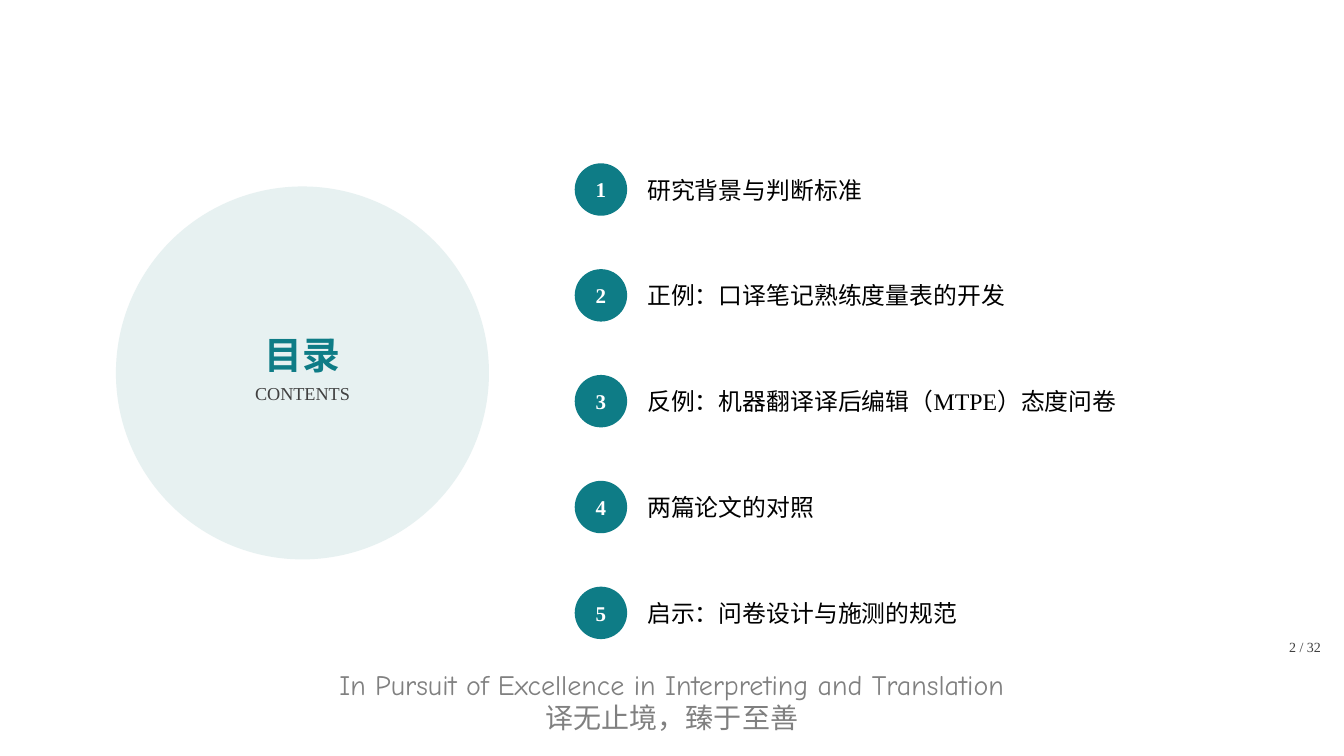
from lxml.etree import SubElement
from pptx import Presentation
from pptx.dml.color import RGBColor
from pptx.enum.shapes import MSO_SHAPE
from pptx.enum.text import MSO_ANCHOR, PP_ALIGN
from pptx.oxml.ns import qn
from pptx.util import Inches, Pt

# Content
CONTENTS = [
    "研究背景与判断标准",
    "正例：口译笔记熟练度量表的开发",
    "反例：机器翻译译后编辑（MTPE）态度问卷",
    "两篇论文的对照",
    "启示：问卷设计与施测的规范",
]
TITLE, SUBTITLE = "目录", "CONTENTS"
MOTTO_ENGLISH = "In Pursuit of Excellence in Interpreting and Translation"
MOTTO_CHINESE = "译无止境，臻于至善"
PAGE_NUMBER = "2 / 32"

# Style
TEAL = RGBColor(0x0E, 0x7C, 0x86)
PALE_TEAL = RGBColor(0xE7, 0xF1, 0xF1)
DARK_GRAY = RGBColor(0x40, 0x40, 0x40)
GRAY = RGBColor(0x80, 0x80, 0x80)
BLACK = RGBColor(0, 0, 0)
WHITE = RGBColor(0xFF, 0xFF, 0xFF)
SERIF, CHINESE, HANDWRITING = "Times New Roman", "Noto Sans CJK SC", "Comic Neue"

# Layout in inches
LIST_TOP, ROW_STEP, BADGE_SIZE = 1.62, 1.05, 0.52
BADGE_LEFT, ITEM_LEFT, ITEM_WIDTH = 5.7, 6.42, 6.3

presentation = Presentation()
presentation.slide_width, presentation.slide_height = Inches(13.33), Inches(7.5)
slide = presentation.slides.add_slide(presentation.slide_layouts[6])


def write(paragraph, text, size, color, bold=False, align=PP_ALIGN.LEFT, name=SERIF):
    paragraph.text = text
    paragraph.alignment = align
    font = paragraph.font
    font.size, font.bold, font.name = Pt(size), bold, name
    font.color.rgb = color
    properties = paragraph._p.pPr.find(qn("a:defRPr"))
    SubElement(properties, qn("a:ea")).set("typeface", CHINESE)


def clear_margins(frame):
    frame.margin_left = frame.margin_top = 0
    frame.margin_right = frame.margin_bottom = 0


def add_text(left, top, width, height, anchor=MSO_ANCHOR.MIDDLE):
    box = slide.shapes.add_textbox(*map(Inches, (left, top, width, height)))
    frame = box.text_frame
    frame.word_wrap = True
    frame.vertical_anchor = anchor
    clear_margins(frame)
    return frame


def add_circle(left, top, size, color):
    circle = slide.shapes.add_shape(
        MSO_SHAPE.OVAL, *map(Inches, (left, top, size, size)))
    circle.shadow.inherit = False
    circle.fill.solid()
    circle.fill.fore_color.rgb = color
    circle.line.fill.background()
    return circle


# Motto at the foot
motto = add_text(0, 6.62, 13.33, 0.67, MSO_ANCHOR.TOP)
write(motto.paragraphs[0], MOTTO_ENGLISH, 20, GRAY,
      align=PP_ALIGN.CENTER, name=HANDWRITING)
write(motto.add_paragraph(), MOTTO_CHINESE, 20, GRAY,
      align=PP_ALIGN.CENTER, name=CHINESE)

# Title circle
add_circle(1.15, 1.85, 3.7, PALE_TEAL)
heading = add_text(1.15, 2.85, 3.7, 1.6)
write(heading.paragraphs[0], TITLE, 27, TEAL, bold=True, align=PP_ALIGN.CENTER)
subtitle = heading.add_paragraph()
write(subtitle, SUBTITLE, 13, DARK_GRAY, align=PP_ALIGN.CENTER)
subtitle.space_before = Pt(4)

# Numbered contents
for index, item in enumerate(CONTENTS):
    top = LIST_TOP + index * ROW_STEP
    badge = add_circle(BADGE_LEFT, top, BADGE_SIZE, TEAL).text_frame
    badge.word_wrap = False
    badge.vertical_anchor = MSO_ANCHOR.MIDDLE
    clear_margins(badge)
    write(badge.paragraphs[0], str(index + 1), 15, WHITE,
          bold=True, align=PP_ALIGN.CENTER)
    label = add_text(ITEM_LEFT, top, ITEM_WIDTH, BADGE_SIZE)
    write(label.paragraphs[0], item, 17, BLACK)

# Page number
page = add_text(11.3, 6.28, 1.8, 0.22, MSO_ANCHOR.TOP).paragraphs[0]
write(page, PAGE_NUMBER, 10, DARK_GRAY, align=PP_ALIGN.RIGHT)
page.line_spacing = 1.3

presentation.save("out.pptx")
